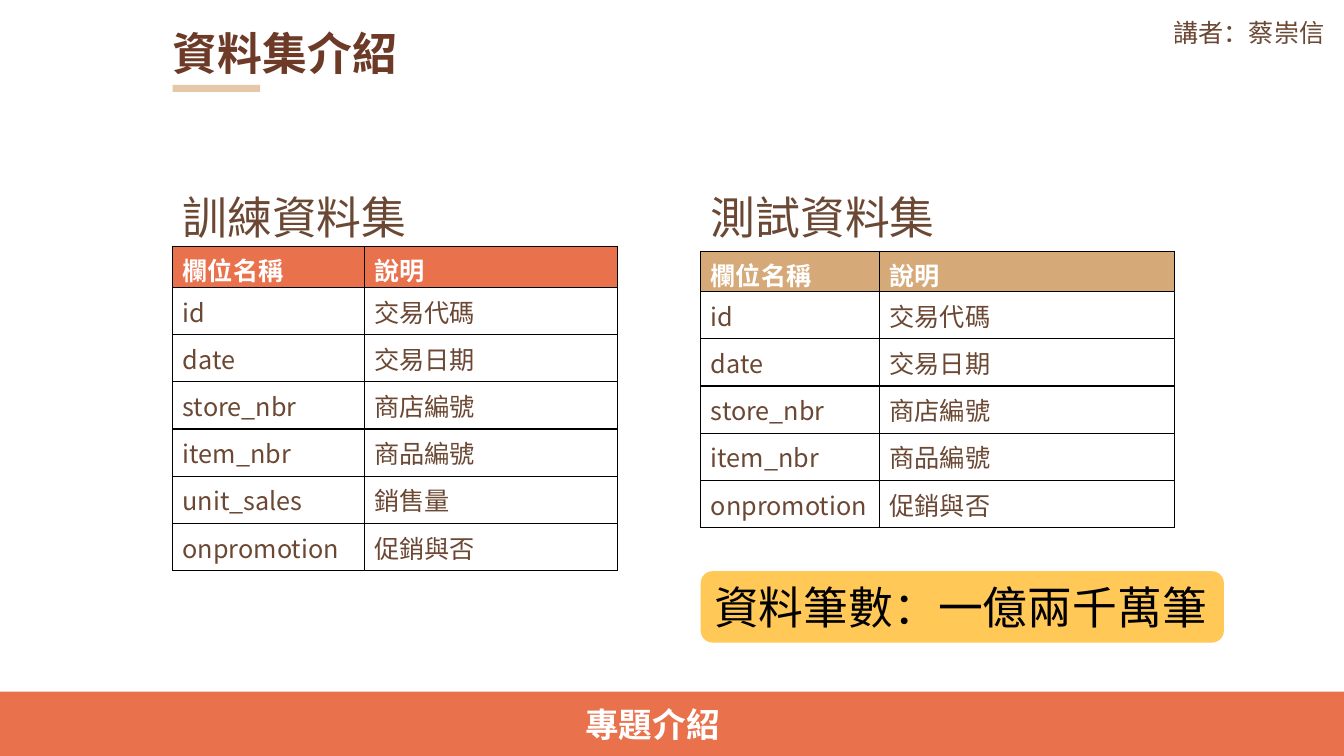
import pptx
import pptx.dml.color
import pptx.enum.shapes
import pptx.enum.text
import pptx.oxml
import pptx.oxml.ns
import pptx.util
import lxml.etree
from dataclasses import dataclass

Pt = pptx.util.Pt
Shapes = pptx.enum.shapes.MSO_SHAPE
Anchor = pptx.enum.text.MSO_ANCHOR
qn = pptx.oxml.ns.qn


@dataclass(frozen=True)
class Theme:
    brown: str = "6B4834"
    title_brown: str = "6C3A27"
    orange: str = "E9714C"
    tan: str = "D6A978"
    light_tan: str = "E5C8A9"
    yellow: str = "FFC857"
    white: str = "FFFFFF"
    black: str = "000000"
    large: int = 32
    medium: int = 24
    small: int = 18
    font_sc: str = "Noto Sans CJK SC"
    font_tc: str = "Noto Sans CJK TC"
    font_jp: str = "Noto Sans CJK JP"


theme = Theme()


def paint(fill, color):
    fill.solid()
    fill.fore_color.rgb = pptx.dml.color.RGBColor.from_string(color)


def write(frame, text, size, color, font, bold=False):
    """Set one line of text, with its font for Latin and East Asian letters."""
    frame.text = text
    para = frame.paragraphs[0]
    para.alignment = pptx.enum.text.PP_ALIGN.LEFT
    span = para.runs[0]
    span.font.size = Pt(size)
    span.font.bold = bold
    paint(span.font.fill, color)
    span.font.name = font
    lxml.etree.SubElement(span.font._element, qn("a:ea"), typeface=font)


deck = pptx.Presentation()
deck.slide_width = Pt(960)
deck.slide_height = Pt(540)
page = deck.slides.add_slide(deck.slide_layouts[6])

# Bars and callout
shapes = [
    (Shapes.RECTANGLE, 123.3, 60.6, 62.6, 5, theme.light_tan),
    (Shapes.RECTANGLE, 0, 494, 960, 46, theme.orange),
    (Shapes.FLOWCHART_ALTERNATE_PROCESS, 500.5, 408, 373.7, 51, theme.yellow),
]
for kind, left, top, width, height, color in shapes:
    shape = page.shapes.add_shape(kind, Pt(left), Pt(top), Pt(width), Pt(height))
    shape.shadow.inherit = False
    paint(shape.fill, color)
    shape.line.fill.background()

callout = shape
callout.text_frame.word_wrap = False
callout.text_frame.vertical_anchor = Anchor.MIDDLE
write(callout.text_frame, "資料筆數：一億兩千萬筆", theme.large, theme.black, theme.font_tc)

# Title, speaker, table headings and footer
labels = [
    ("資料集介紹", 116.4, 15, 357, 46, theme.large, theme.title_brown, theme.font_sc, True, True),
    ("講者：蔡崇信", 831, 9, 124, 29, theme.small, theme.brown, theme.font_tc, False, False),
    ("訓練資料集", 123.3, 131.8, 176.4, 46, theme.large, theme.brown, theme.font_sc, False, True),
    ("測試資料集", 500.5, 131.8, 176.4, 46, theme.large, theme.brown, theme.font_sc, False, True),
    ("專題介紹", 411, 499.5, 111.6, 36, theme.medium, theme.white, theme.font_sc, True, False),
]
for text, left, top, width, height, size, color, font, bold, wrap in labels:
    box = page.shapes.add_textbox(Pt(left), Pt(top), Pt(width), Pt(height))
    box.text_frame.word_wrap = wrap
    write(box.text_frame, text, size, color, font, bold)

# Column descriptions of both data sets
header = ("欄位名稱", "說明")
train_fields = [
    ("id", "交易代碼"),
    ("date", "交易日期"),
    ("store_nbr", "商店編號"),
    ("item_nbr", "商品編號"),
    ("unit_sales", "銷售量"),
    ("onpromotion", "促銷與否"),
]
test_fields = [field for field in train_fields if field[0] != "unit_sales"]
row_height = 33.75
tables = [
    (train_fields, 123.3, 176, (136.8, 180.9), 29.3, theme.orange),
    (test_fields, 500.5, 179.4, (127.6, 210.8), 28.8, theme.tan),
]
for fields, left, top, widths, header_height, header_color in tables:
    rows = [header, *fields]
    height = header_height + row_height * len(fields)
    table = page.shapes.add_table(
        len(rows), 2, Pt(left), Pt(top), Pt(sum(widths)), Pt(height)).table
    for column, width in zip(table.columns, widths):
        column.width = Pt(width)
    for row_index, row in enumerate(rows):
        is_header = row_index == 0
        table.rows[row_index].height = Pt(header_height if is_header else row_height)
        for column_index, text in enumerate(row):
            cell = table.cell(row_index, column_index)
            write(cell.text_frame, text, theme.small,
                  theme.white if is_header else theme.brown, theme.font_jp, is_header)
            cell.vertical_anchor = Anchor.TOP if is_header else Anchor.MIDDLE
            if is_header:
                cell.margin_bottom = Pt(0)
            properties = cell._tc.get_or_add_tcPr()
            for side in ("lnL", "lnR", "lnT", "lnB"):
                border = lxml.etree.SubElement(properties, qn(f"a:{side}"), w=str(Pt(1)))
                solid = lxml.etree.SubElement(border, qn("a:solidFill"))
                lxml.etree.SubElement(solid, qn("a:srgbClr"), val=theme.black)
            paint(cell.fill, header_color if is_header else theme.white)

deck.save("out.pptx")
